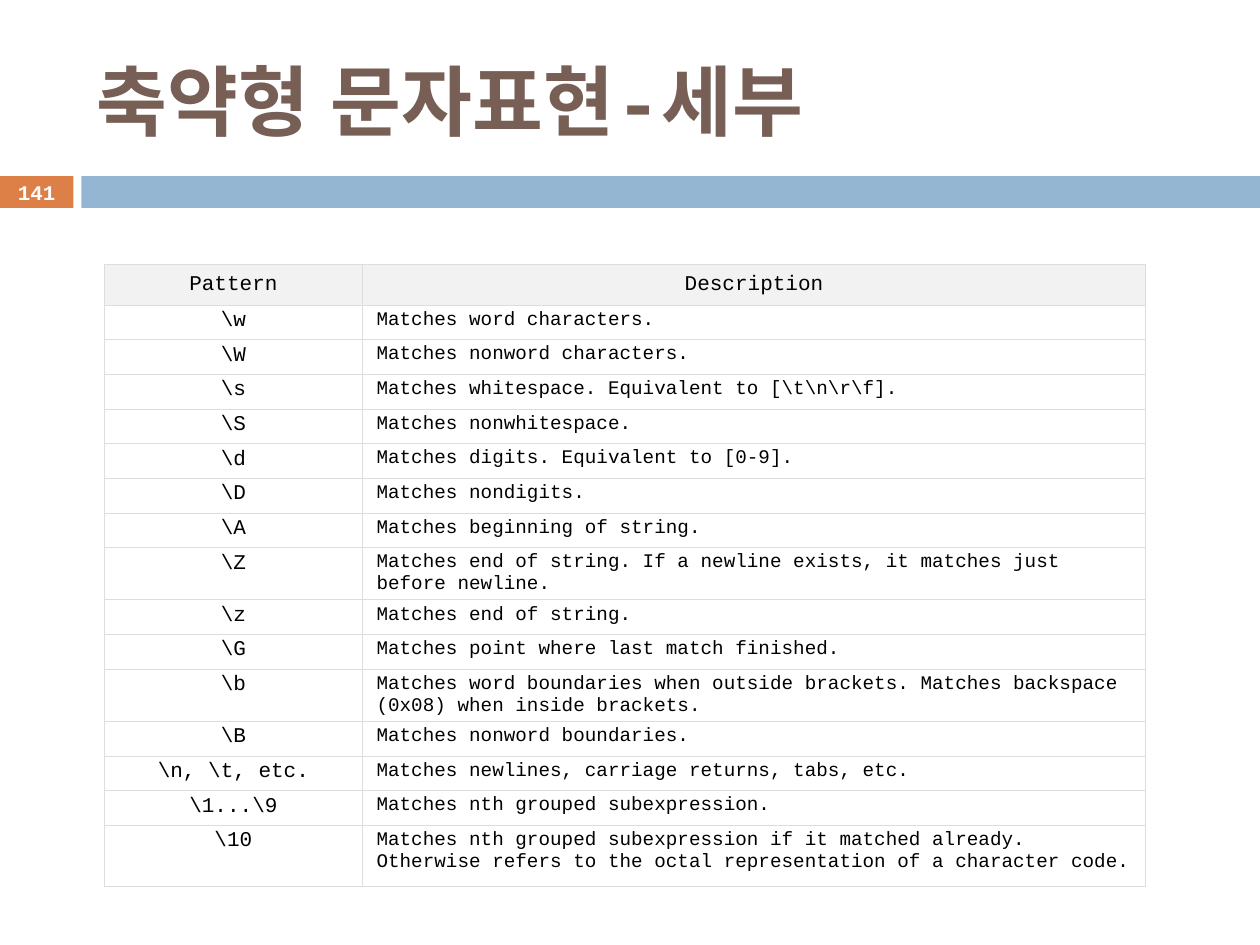
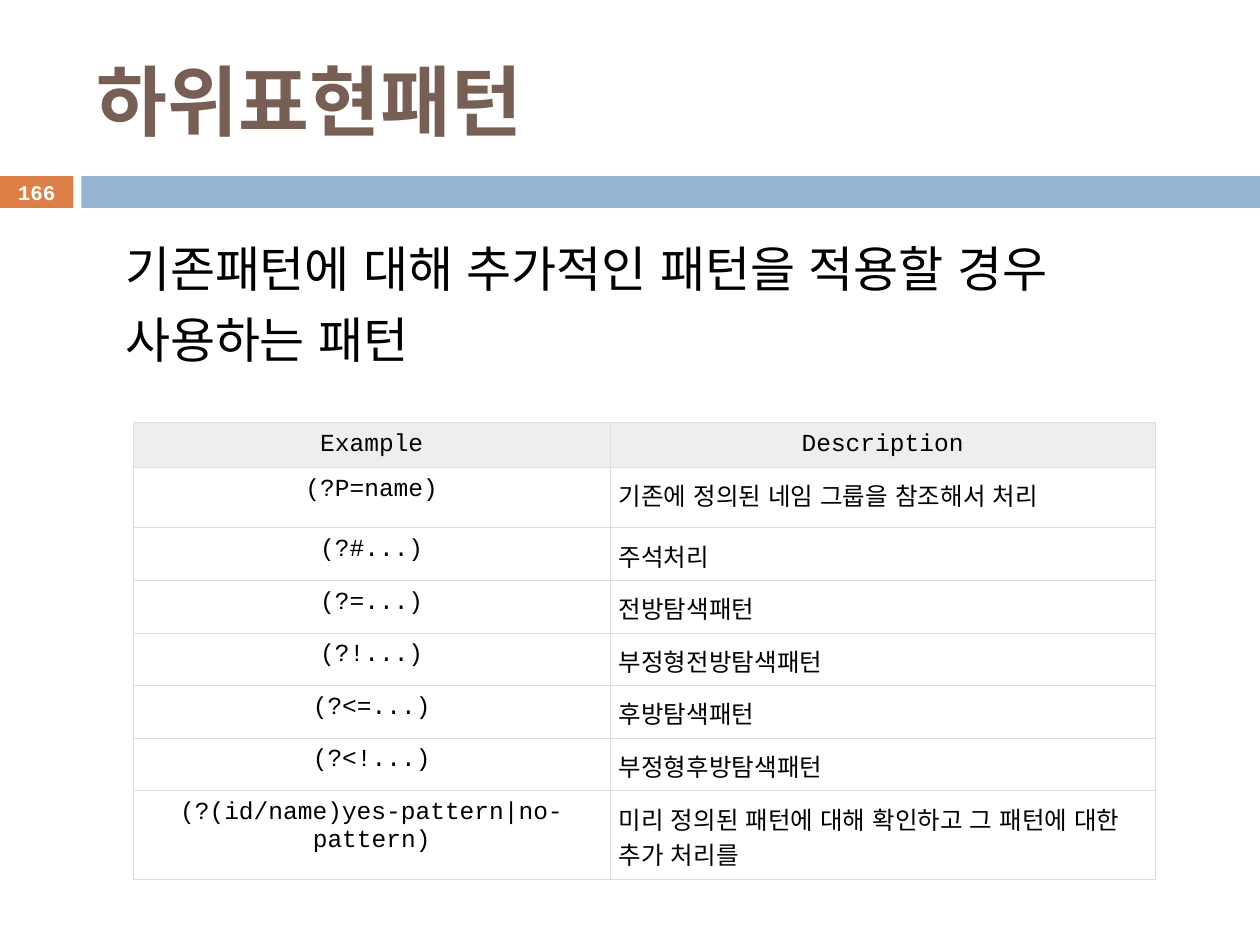
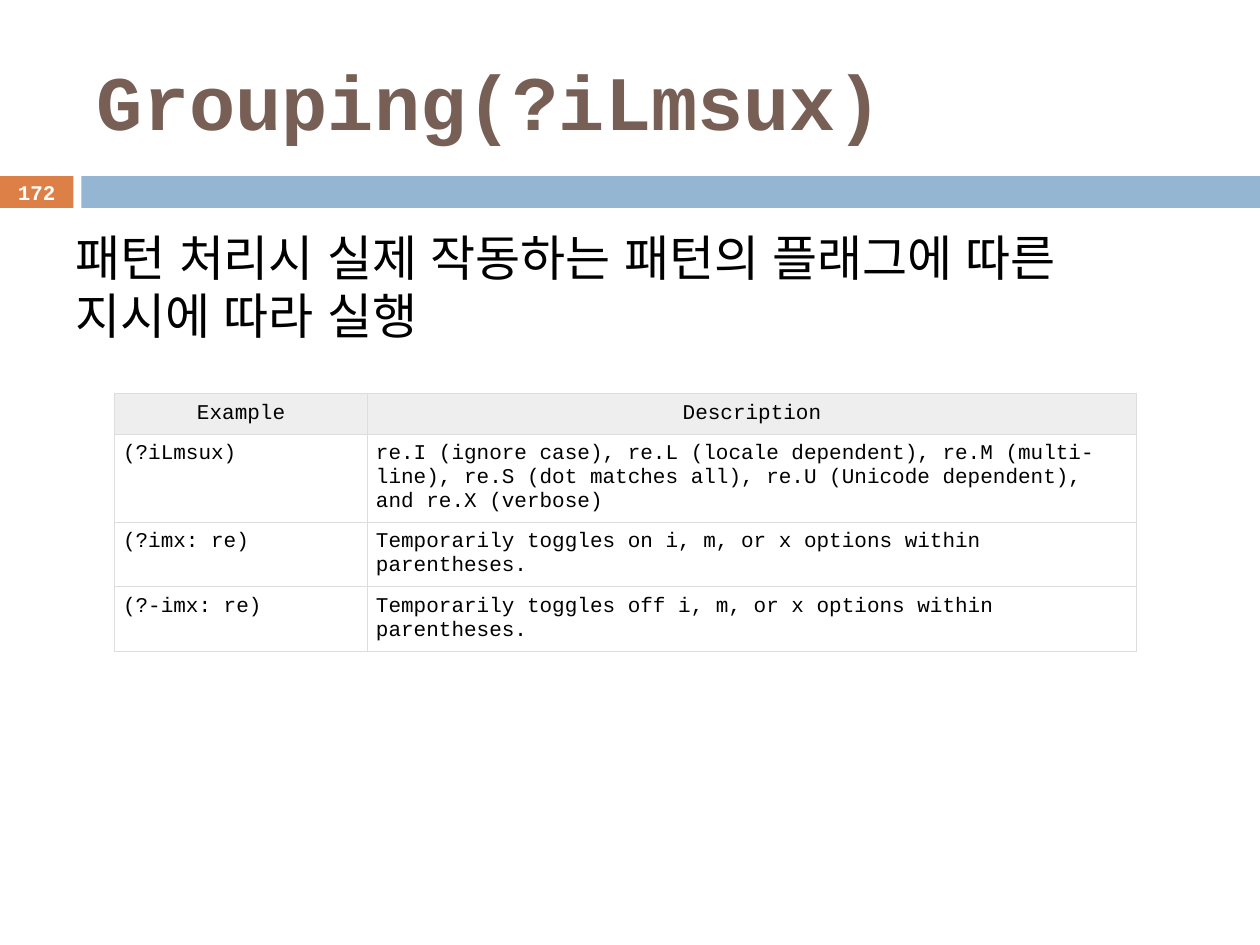
from dataclasses import dataclass

from pptx import Presentation
from pptx.dml.color import RGBColor
from pptx.enum.shapes import MSO_SHAPE
from pptx.enum.text import MSO_ANCHOR, MSO_AUTO_SIZE, PP_ALIGN
from pptx.oxml import parse_xml
from pptx.oxml.ns import nsdecls, qn
from pptx.slide import Slide
from pptx.util import Cm, Pt

RECTANGLE = MSO_SHAPE.RECTANGLE
MIDDLE, TOP = MSO_ANCHOR.MIDDLE, MSO_ANCHOR.TOP
NO_AUTOFIT = MSO_AUTO_SIZE.NONE
LEFT, CENTER = PP_ALIGN.LEFT, PP_ALIGN.CENTER

FONT = "Courier New"
HANGUL_FONT = "Arial"
BLACK = RGBColor(0x00, 0x00, 0x00)
WHITE = RGBColor(0xFF, 0xFF, 0xFF)
BROWN = RGBColor(0x77, 0x5F, 0x55)
ORANGE = RGBColor(0xDD, 0x80, 0x47)
BLUE = RGBColor(0x94, 0xB6, 0xD2)
PALE_GRAY = RGBColor(0xF2, 0xF2, 0xF2)
LIGHT_GRAY = RGBColor(0xEE, 0xEE, 0xEE)
RULE_GRAY = RGBColor(0xDD, 0xDD, 0xDD)

SLIDE_WIDTH, SLIDE_HEIGHT = 25.4, 19.05
BAND_TOP, BAND_HEIGHT = 3.55, 0.64
NUMBER_WIDTH, BAR_LEFT = 1.48, 1.64
TITLE_ONLY, TITLE_AND_CONTENT = 5, 1


@dataclass(frozen=True)
class Box:
    left: float
    top: float
    width: float
    height: float


@dataclass(frozen=True)
class Intro:
    text: str
    box: Box
    level: int = 0
    indent: float = 0
    line_spacing: float = 1.0


@dataclass(frozen=True)
class Column:
    heading: str
    width: float
    size: float
    align: PP_ALIGN = LEFT
    inset_x: float = 0.17
    inset_y: float = 0.17
    line_spacing: float = 1.0


@dataclass(frozen=True)
class Reference:
    left: float
    top: float
    columns: tuple[Column, ...]
    rows: tuple[tuple[str, str], ...]
    heading_size: float
    heading_fill: RGBColor
    row_fill: RGBColor | None
    heading_height: float
    row_height: float
    special_heights: dict[int, float]


@dataclass(frozen=True)
class Page:
    number: int
    title: str
    reference: Reference
    intro: Intro | None = None


TITLE_BOX = Box(1.7, 0.64, 22.66, 2.74)
NUMBER_BOX = Box(0, 3.53, NUMBER_WIDTH, 0.69)

SHORTHANDS = Reference(
    2.11, 5.33,
    (
        Column("Pattern", 5.19, 12, CENTER, 0.08, 0.08),
        Column("Description", 15.8, 11, LEFT, 0.29, 0.08),
    ),
    (
        (r"\w", "Matches word characters."),
        (r"\W", "Matches nonword characters."),
        (r"\s", r"Matches whitespace. Equivalent to [\t\n\r\f]."),
        (r"\S", "Matches nonwhitespace."),
        (r"\d", "Matches digits. Equivalent to [0-9]."),
        (r"\D", "Matches nondigits."),
        (r"\A", "Matches beginning of string."),
        (r"\Z", "Matches end of string. If a newline exists, it matches just before newline."),
        (r"\z", "Matches end of string."),
        (r"\G", "Matches point where last match finished."),
        (r"\b", "Matches word boundaries when outside brackets. "
                "Matches backspace (0x08) when inside brackets."),
        (r"\B", "Matches nonword boundaries."),
        (r"\n, \t, etc.", "Matches newlines, carriage returns, tabs, etc."),
        (r"\1...\9", "Matches nth grouped subexpression."),
        (r"\10", "Matches nth grouped subexpression if it matched already. "
                 "Otherwise refers to the octal representation of a character code."),
    ),
    12, PALE_GRAY, WHITE, 0.8, 0.7, {8: 1.05, 11: 1.05, 15: 1.23},
)

SUBPATTERNS = Reference(
    2.69, 8.52,
    (
        Column("Example", 9.61, 14, CENTER),
        Column("Description", 10.99, 14, line_spacing=1.28),
    ),
    (
        ("(?P=name)", "기존에 정의된 네임 그룹을 참조해서 처리"),
        ("(?#...)", "주석처리"),
        ("(?=...)", "전방탐색패턴"),
        ("(?!...)", "부정형전방탐색패턴"),
        ("(?<=...)", "후방탐색패턴"),
        ("(?<!...)", "부정형후방탐색패턴"),
        ("(?(id/name)yes-pattern|no-pattern)",
         "미리 정의된 패턴에 대해 확인하고 그 패턴에 대한 추가 처리를"),
    ),
    14, LIGHT_GRAY, None, 0.9, 1.06, {1: 1.22, 7: 1.78},
)

FLAGS = Reference(
    2.31, 7.93,
    (Column("Example", 5.1, 12), Column("Description", 15.5, 12)),
    (
        ("(?iLmsux)", "re.I (ignore case), re.L (locale dependent), re.M (multi-line), "
                      "re.S (dot matches all), re.U (Unicode dependent), and re.X (verbose)"),
        ("(?imx: re)", "Temporarily toggles on i, m, or x options within parentheses."),
        ("(?-imx: re)", "Temporarily toggles off i, m, or x options within parentheses."),
    ),
    12, LIGHT_GRAY, None, 0.8, 1.3, {1: 1.77},
)

PAGES = (
    Page(141, "축약형 문자표현-세부", SHORTHANDS),
    Page(166, "하위표현패턴", SUBPATTERNS, Intro(
        "기존패턴에 대해 추가적인 패턴을 적용할 경우 사용하는 패턴",
        Box(1.27, 4.45, 22.86, 5.08), level=1, indent=1.0, line_spacing=1.2)),
    Page(172, "Grouping(?iLmsux)", FLAGS, Intro(
        "패턴 처리시 실제 작동하는 패턴의 플래그에 따른 지시에 따라 실행",
        Box(1.27, 4.45, 22.86, 3.07))),
)


def lengths(box: Box) -> tuple[Cm, Cm, Cm, Cm]:
    return Cm(box.left), Cm(box.top), Cm(box.width), Cm(box.height)


def place(placeholder, box: Box) -> None:
    placeholder.left, placeholder.top, placeholder.width, placeholder.height = lengths(box)


def write(paragraph, text: str, size: float, color: RGBColor = BLACK,
          bold: bool = False, align: PP_ALIGN = LEFT) -> None:
    paragraph.alignment = align
    run = paragraph.add_run()
    run.text = text
    font = run.font
    font.size, font.bold, font.name = Pt(size), bold, FONT
    font.color.rgb = color
    east_asian = parse_xml(f'<a:ea {nsdecls("a")} typeface="{HANGUL_FONT}"/>')
    run._r.rPr.find(qn("a:latin")).addnext(east_asian)


def add_band(slide: Slide, left: float, width: float, color: RGBColor) -> None:
    band = slide.shapes.add_shape(
        RECTANGLE, *lengths(Box(left, BAND_TOP, width, BAND_HEIGHT)))
    band.shadow.inherit = False
    band.fill.solid()
    band.fill.fore_color.rgb = color
    band.line.fill.background()


def add_number(slide: Slide, number: int) -> None:
    frame = slide.shapes.add_textbox(*lengths(NUMBER_BOX)).text_frame
    frame.word_wrap = True
    frame.vertical_anchor = MIDDLE
    frame.margin_left = frame.margin_right = frame.margin_top = frame.margin_bottom = 0
    write(frame.paragraphs[0], str(number), 11.9, WHITE, True, CENTER)


def fill_title(slide: Slide, text: str) -> None:
    title = slide.shapes.title
    place(title, TITLE_BOX)
    frame = title.text_frame
    frame.auto_size = NO_AUTOFIT
    frame.vertical_anchor = MIDDLE
    write(frame.paragraphs[0], text, 44, BROWN, True)


def fill_intro(slide: Slide, intro: Intro) -> None:
    body = slide.placeholders[1]
    place(body, intro.box)
    frame = body.text_frame
    frame.auto_size = NO_AUTOFIT
    frame.vertical_anchor = TOP
    paragraph = frame.paragraphs[0]
    properties = paragraph._p.get_or_add_pPr()
    properties.append(parse_xml(f'<a:buNone {nsdecls("a")}/>'))
    properties.set("marL", str(Cm(intro.indent)))
    properties.set("indent", "0")
    paragraph.level = intro.level
    paragraph.line_spacing = intro.line_spacing
    paragraph.space_before = Pt(0)
    write(paragraph, intro.text, 28)


def add_borders(cell) -> None:
    properties = cell._tc.get_or_add_tcPr()
    for side in ("lnL", "lnR", "lnT", "lnB"):
        properties.append(parse_xml(
            f'<a:{side} {nsdecls("a")} w="{Pt(0.6)}"><a:solidFill>'
            f'<a:srgbClr val="{RULE_GRAY}"/></a:solidFill></a:{side}>'))


def fill_cell(cell, text: str, size: float, align: PP_ALIGN, inset_x: float,
              inset_y: float, fill: RGBColor | None, line_spacing: float = 1.0) -> None:
    cell.margin_left = cell.margin_right = Cm(inset_x)
    cell.margin_top = cell.margin_bottom = Cm(inset_y)
    cell.vertical_anchor = TOP
    add_borders(cell)
    if fill is None:
        cell.fill.background()
    else:
        cell.fill.solid()
        cell.fill.fore_color.rgb = fill
    paragraph = cell.text_frame.paragraphs[0]
    paragraph.line_spacing = line_spacing
    write(paragraph, text, size, align=align)


def add_reference(slide: Slide, reference: Reference) -> None:
    heights = [reference.heading_height] + [
        reference.special_heights.get(index, reference.row_height)
        for index in range(1, len(reference.rows) + 1)]
    box = Box(reference.left, reference.top,
              sum(column.width for column in reference.columns), sum(heights))
    table = slide.shapes.add_table(
        len(heights), len(reference.columns), *lengths(box)).table
    table.first_row = table.horz_banding = False
    for row, height in zip(table.rows, heights):
        row.height = Cm(height)
    for col, column in enumerate(reference.columns):
        table.columns[col].width = Cm(column.width)
        fill_cell(table.cell(0, col), column.heading, reference.heading_size,
                  CENTER, 0.17, 0.17, reference.heading_fill)
        for index, entry in enumerate(reference.rows, start=1):
            fill_cell(table.cell(index, col), entry[col], column.size, column.align,
                      column.inset_x, column.inset_y, reference.row_fill,
                      column.line_spacing)


def add_page(deck, page: Page) -> None:
    layout = TITLE_AND_CONTENT if page.intro else TITLE_ONLY
    slide = deck.slides.add_slide(deck.slide_layouts[layout])
    add_band(slide, 0, NUMBER_WIDTH, ORANGE)
    add_band(slide, BAR_LEFT, SLIDE_WIDTH - BAR_LEFT, BLUE)
    fill_title(slide, page.title)
    if page.intro:
        fill_intro(slide, page.intro)
    add_reference(slide, page.reference)
    add_number(slide, page.number)


def main() -> None:
    deck = Presentation()
    deck.slide_width, deck.slide_height = Cm(SLIDE_WIDTH), Cm(SLIDE_HEIGHT)
    for page in PAGES:
        add_page(deck, page)
    deck.save("out.pptx")


if __name__ == "__main__":
    main()
